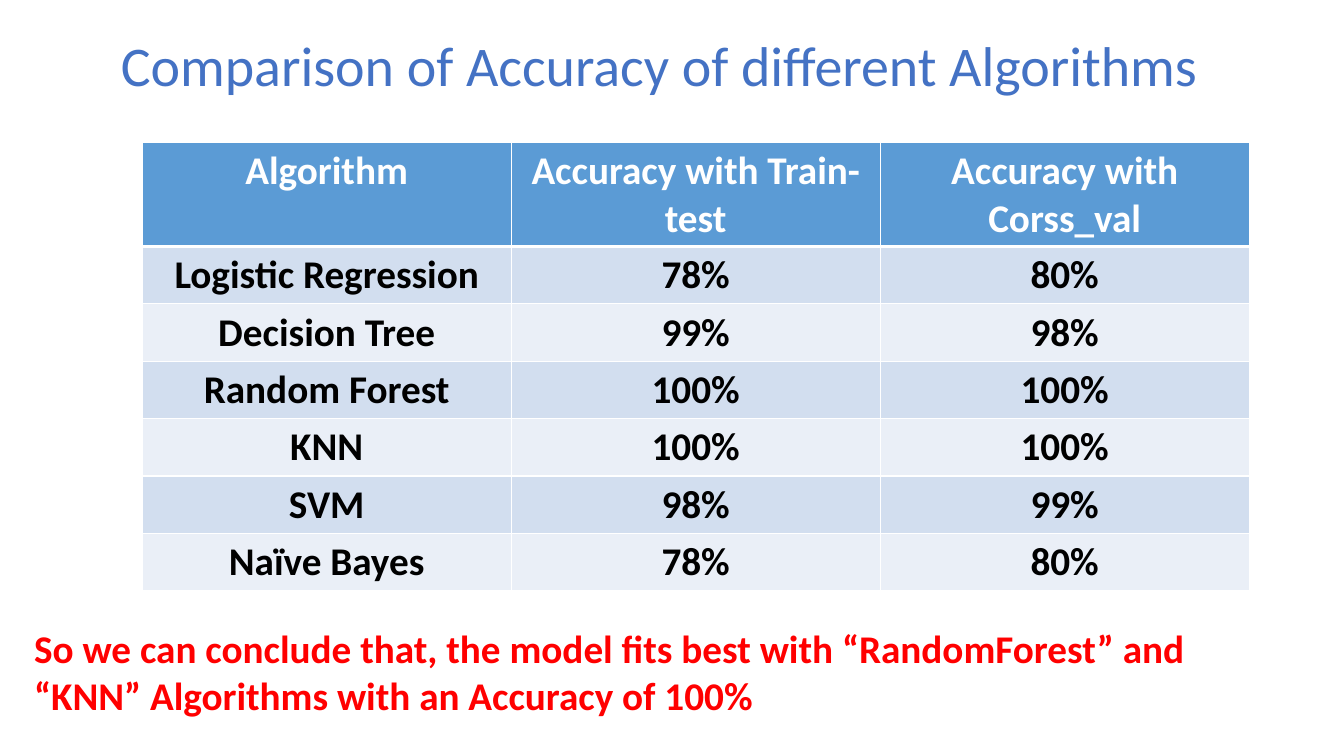
from lxml.etree import SubElement
from pptx import Presentation
from pptx.dml.color import RGBColor
from pptx.enum.text import MSO_AUTO_SIZE, PP_ALIGN
from pptx.oxml.ns import qn
from pptx.util import Inches, Pt

# Content
TITLE = "Comparison of Accuracy of different Algorithms "
ACCURACY = [
    ("Algorithm", "Accuracy with Train-test", "Accuracy with Corss_val"),
    ("Logistic Regression", "78%", "80%"),
    ("Decision Tree", "99%", "98%"),
    ("Random Forest", "100%", "100%"),
    ("KNN", "100%", "100%"),
    ("SVM", "98%", "99%"),
    ("Naïve Bayes", "78%", "80%"),
]
CONCLUSION = ("So we can conclude that, the model fits best with “RandomForest” "
              "and “KNN” Algorithms with an Accuracy of 100%")

FONT = "Calibri"
COLORS = {
    "title": "4472C4", "header": "5B9BD5", "odd": "D2DEEF", "even": "EAEFF7",
    "white": "FFFFFF", "black": "000000", "conclusion": "FF0000",
}
COLUMN_WIDTH, HEADER_HEIGHT, ROW_HEIGHT = 3.66, 1.03, 0.57


def write(frame, text, size, color, bold=False, align=None):
    paragraph = frame.paragraphs[0]
    paragraph.alignment = align
    run = paragraph.add_run()
    run.text = text
    run.font.name = FONT
    run.font.size = Pt(size)
    run.font.bold = bold
    run.font.color.rgb = RGBColor.from_string(COLORS[color])


def add_text(slide, box, text, size, color, wrap, **style):
    frame = slide.shapes.add_textbox(*map(Inches, box)).text_frame
    frame.word_wrap = wrap
    frame.auto_size = MSO_AUTO_SIZE.SHAPE_TO_FIT_TEXT
    write(frame, text, size, color, **style)


def set_borders(cell, widths):
    """Draw white borders; widths are points for left, right, top, bottom."""
    properties = cell._tc.get_or_add_tcPr()
    for side, width in zip("LRTB", widths):
        line = SubElement(properties, qn(f"a:ln{side}"), w=str(Pt(width)))
        fill = SubElement(line, qn("a:solidFill"))
        SubElement(fill, qn("a:srgbClr"), val=COLORS["white"])


def add_accuracy_table(slide):
    row_count, column_count = len(ACCURACY), len(ACCURACY[0])
    height = HEADER_HEIGHT + ROW_HEIGHT * (row_count - 1)
    table = slide.shapes.add_table(
        row_count, column_count, Inches(1.41), Inches(1.41),
        Inches(COLUMN_WIDTH * column_count), Inches(height)).table
    for column in table.columns:
        column.width = Inches(COLUMN_WIDTH)
    for r, values in enumerate(ACCURACY):
        is_header = r == 0
        table.rows[r].height = Inches(HEADER_HEIGHT if is_header else ROW_HEIGHT)
        band = "header" if is_header else "odd" if r % 2 else "even"
        # The rule under the header is heavier than the others
        widths = (1, 1, 3 if r == 1 else 1, 3 if is_header else 1)
        for c, value in enumerate(values):
            cell = table.cell(r, c)
            set_borders(cell, widths)
            cell.fill.solid()
            cell.fill.fore_color.rgb = RGBColor.from_string(COLORS[band])
            write(cell.text_frame, value, 28, "white" if is_header else "black",
                  bold=True, align=PP_ALIGN.CENTER)


def main():
    deck = Presentation()
    deck.slide_width, deck.slide_height = Inches(13.33), Inches(7.5)
    slide = deck.slides.add_slide(deck.slide_layouts[6])

    # Title, table, conclusion
    add_text(slide, (0.97, 0.25, 11.26, 0.77), TITLE, 40, "title",
             wrap=False, align=PP_ALIGN.CENTER)
    add_accuracy_table(slide)
    add_text(slide, (0.24, 6.14, 12.72, 1.04), CONCLUSION, 28, "conclusion",
             wrap=True, bold=True)

    deck.save("out.pptx")


if __name__ == "__main__":
    main()
